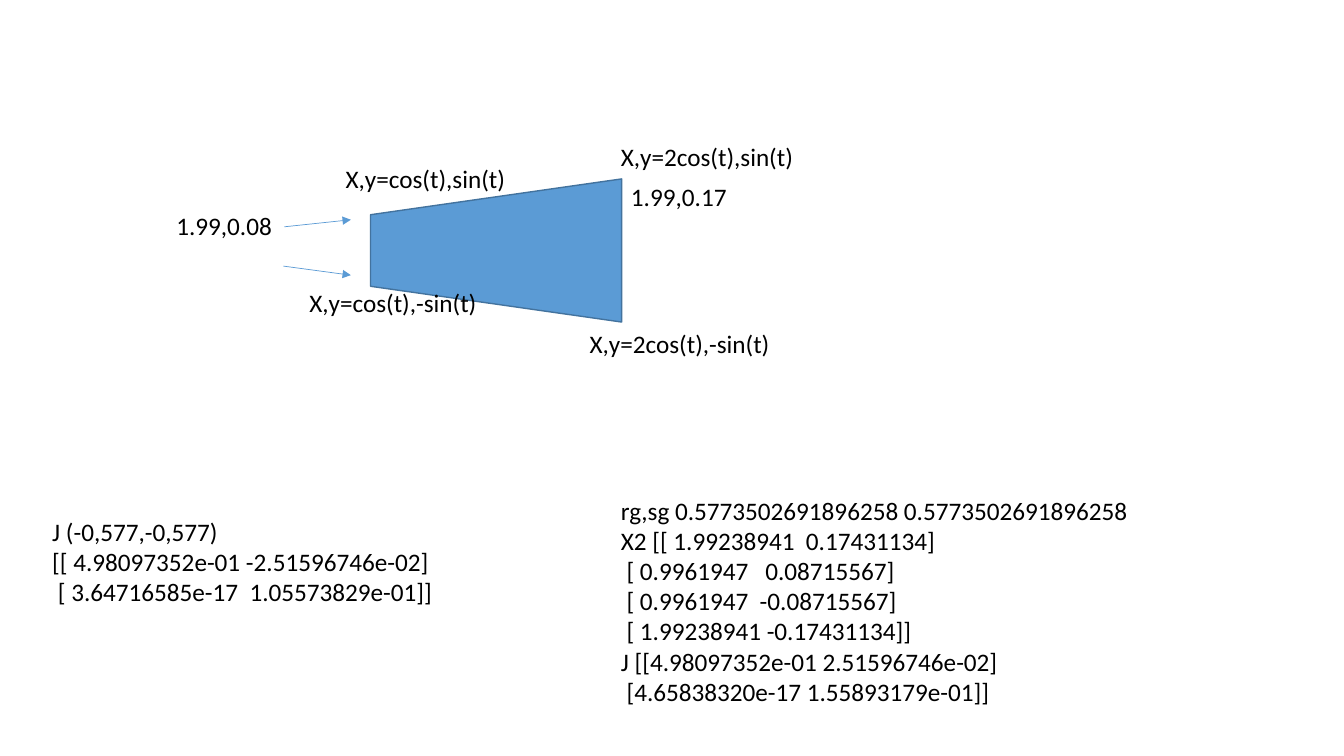
from pptx import Presentation
from pptx.dml.color import RGBColor
from pptx.enum.shapes import MSO_CONNECTOR, MSO_SHAPE
from pptx.enum.text import MSO_AUTO_SIZE
from pptx.oxml.ns import qn
from pptx.util import Inches, Pt
from lxml import etree

TRAPEZOID = MSO_SHAPE.TRAPEZOID
STRAIGHT = MSO_CONNECTOR.STRAIGHT
GROW = MSO_AUTO_SIZE.SHAPE_TO_FIT_TEXT

FONT = "Calibri"
BLACK, BLUE, DARK_BLUE = "000000", "5B9BD5", "43739E"

# Left, top and width are measured from the corner of the diagram.
CORNER_LABELS = [
    ("X,y=cos(t),sin(t)", 1.68, 0.22, 1.96),
    ("X,y=2cos(t),sin(t)", 4.41, 0, 1.96),
    ("X,y=cos(t),-sin(t)", 1.32, 1.45, 1.96),
    ("X,y=2cos(t),-sin(t)", 4.1, 1.86, 2.27),
    ("1.99,0.17", 4.51, 0.4, 1.85),
    ("1.99,0.08", 0, 0.69, 1.85),
]
ARROWS = [
    ((1.17, 0.9), (1.83, 0.83)),
    ((1.16, 1.29), (1.83, 1.38)),
]

JACOBIAN_LINES = [
    "J (-0,577,-0,577)",
    "[[ 4.98097352e-01 -2.51596746e-02]",
    " [ 3.64716585e-17  1.05573829e-01]]",
]
OUTPUT_LINES = [
    "rg,sg 0.5773502691896258 0.5773502691896258",
    "X2 [[ 1.99238941  0.17431134]",
    " [ 0.9961947   0.08715567]",
    " [ 0.9961947  -0.08715567]",
    " [ 1.99238941 -0.17431134]]",
    "J [[4.98097352e-01 2.51596746e-02]",
    " [4.65838320e-17 1.55893179e-01]]",
]


def color(hex_string):
    return RGBColor.from_string(hex_string)


def add_text(page, lines, left, top, width, height):
    box = page.shapes.add_textbox(
        Inches(left), Inches(top), Inches(width), Inches(height))
    frame = box.text_frame
    frame.word_wrap = True
    frame.auto_size = GROW
    for index, line in enumerate(lines):
        para = frame.add_paragraph() if index else frame.paragraphs[0]
        span = para.add_run()
        span.text = line
        span.font.name = FONT
        span.font.size = Pt(18)
        span.font.color.rgb = color(BLACK)


def add_arrow(page, start, end):
    arrow = page.shapes.add_connector(
        STRAIGHT, *(Inches(length) for length in start + end))
    arrow.line.color.rgb = color(BLUE)
    arrow.line.width = Pt(0.5)
    line = arrow.line._get_or_add_ln()
    etree.SubElement(line, qn("a:tailEnd"), type="triangle")
    properties = arrow._element.spPr
    etree.SubElement(properties, qn("a:effectLst"))


def add_element_diagram(page, left, top):
    """Draw the quadrilateral element with its corner labels and arrows."""
    element = page.shapes.add_shape(
        TRAPEZOID, Inches(left + 2.56), Inches(top - 0.11),
        Inches(1.42), Inches(2.49))
    element.rotation = 270
    element.shadow.inherit = False
    element.fill.solid()
    element.fill.fore_color.rgb = color(BLUE)
    element.line.color.rgb = color(DARK_BLUE)
    element.line.width = Pt(1)

    for start, end in ARROWS:
        add_arrow(page, (left + start[0], top + start[1]),
                  (left + end[0], top + end[1]))
    for label, across, down, width in CORNER_LABELS:
        add_text(page, [label], left + across, top + down, width, 0.4)


def main():
    deck = Presentation()
    deck.slide_width, deck.slide_height = Inches(13.33), Inches(7.5)
    page = deck.slides.add_slide(deck.slide_layouts[6])
    add_element_diagram(page, 1.65, 1.35)
    add_text(page, JACOBIAN_LINES, 0.42, 5.07, 6.67, 1.01)
    add_text(page, OUTPUT_LINES, 6.06, 4.86, 6.67, 2.22)
    deck.save("out.pptx")


if __name__ == "__main__":
    main()
